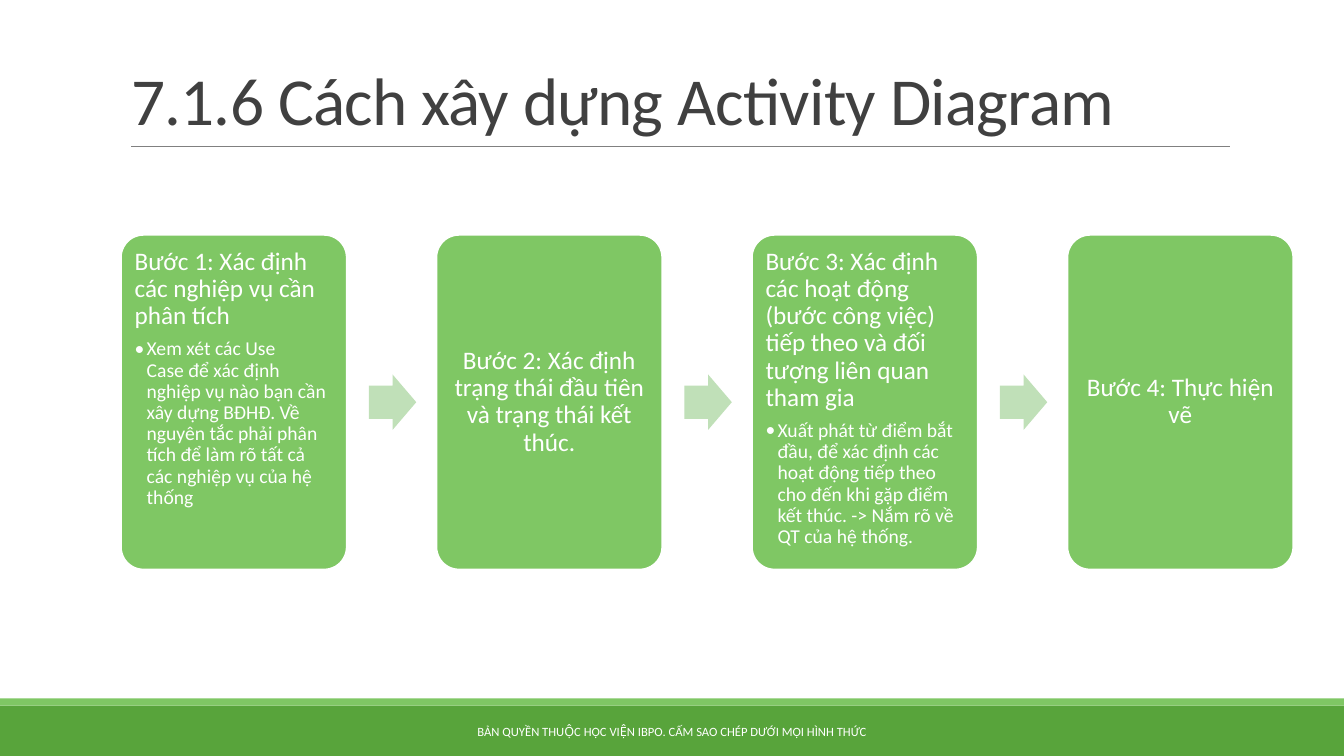
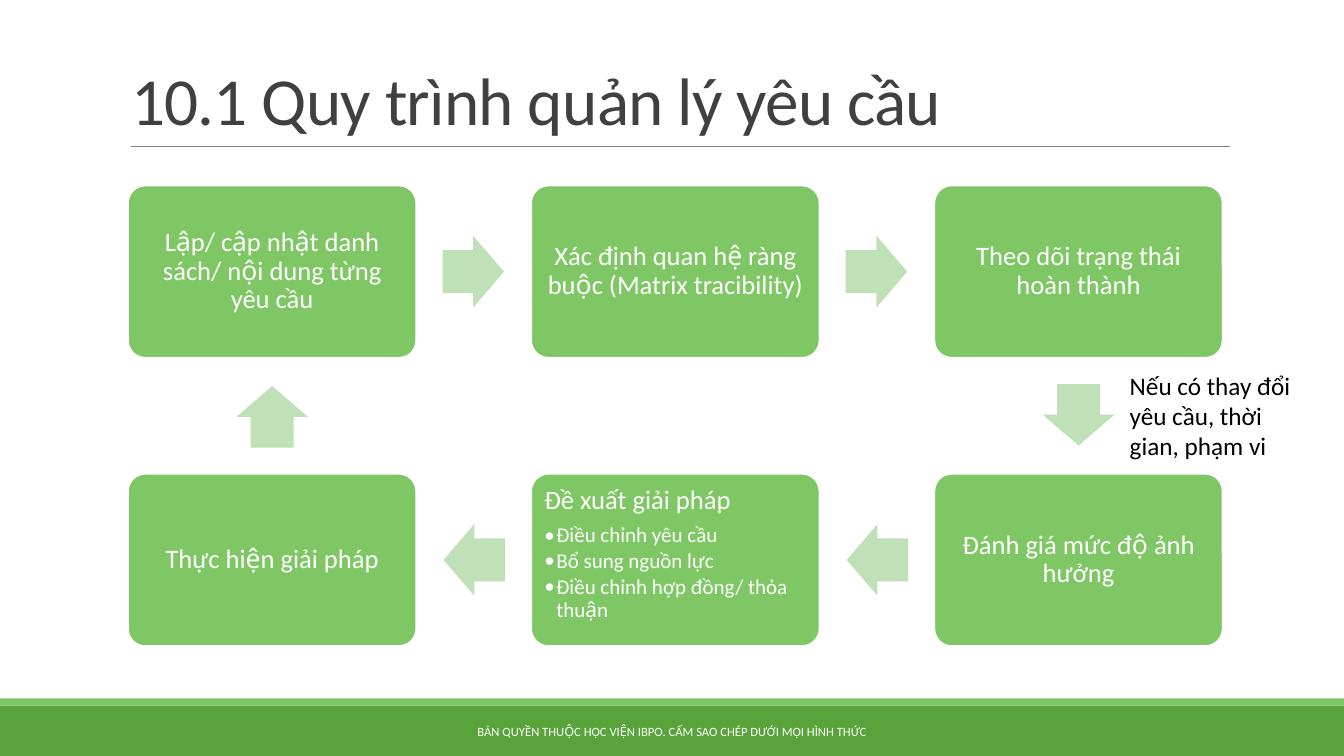
"""Build two process slides that share a title style, a rule and a footer band."""
import math
from lxml import etree
from pptx import Presentation
from pptx import util as u
from pptx.dml.color import RGBColor
from pptx.enum import shapes as sh, text as tx
from pptx.oxml.ns import qn

PX = 9144
WIDE, HIGH = 1333, 750
FONT = "Calibri"
HUES = {
    "band": "58A43B", "box": "7FC764", "arrow": "C0E0B8", "rule": "808080",
    "title": "404040", "white": "FFFFFF", "note": "000000",
}
NB = chr(160)
BASE = "aâăeêioôơuưy"
TONES = {
    0x300: "àầằèềìòồờùừỳ", 0x301: "áấắéếíóốớúứý", 0x303: "ãẫẵẽễĩõỗỡũữỹ",
    0x309: "ảẩẳẻểỉỏổởủửỷ", 0x323: "ạậặẹệịọộợụựỵ",
}
FOOT = "BẢN QUYỀN THUỘC HỌC VIỆN IBPO. CẤM SAO CHÉP DƯỚI MỌI HÌNH THỨC"
STEPS = [
    [f"Bước 1:{NB}Xác định các nghiệp vụ cần phân tích",
     f"Xem xét các Use Case{NB}để xác định nghiệp vụ nào bạn cần xây dựng BĐHĐ. "
     "Về nguyên tắc phải phân tích để làm rõ tất cả các nghiệp vụ của hệ thống"],
    ["Bước 2: Xác định trạng thái đầu tiên và trạng thái kết thúc."],
    [f"Bước 3:{NB}Xác định các hoạt động (bước công việc) tiếp theo và đối tượng "
     "liên quan tham gia",
     "Xuất phát từ điểm bắt đầu, để xác định các hoạt động tiếp theo cho đến "
     "khi gặp điểm kết thúc. -> Nắm rõ về QT của hệ thống."],
    ["Bước 4: Thực hiện vẽ"],
]
CYCLE = [
    ["Lập/ cập nhật danh sách/ nội dung từng yêu cầu"],
    ["Xác định quan hệ ràng buộc (Matrix tracibility)"],
    ["Theo dõi trạng thái hoàn thành"],
    ["Đánh giá mức độ ảnh hưởng"],
    ["Đề xuất giải pháp", "Điều chỉnh yêu cầu", "Bổ sung nguồn lực",
     "Điều chỉnh hợp đồng/ thỏa thuận"],
    ["Thực hiện giải pháp"],
]
NOTE = "Nếu có thay đổi yêu cầu, thời gian, phạm vi"


def split(words):
    """Write each toned vowel as its base letter and a combining tone mark."""
    table = {}
    for mark, row in TONES.items():
        for low, base in zip(row, BASE):
            table[low] = base + chr(mark)
            table[low.upper()] = base.upper() + chr(mark)
    return "".join(table.get(c, c) for c in words)


def px(*nums):
    """Turn px lengths into EMU."""
    return [u.Emu(round(n * PX)) for n in nums]


def hue(name):
    """Look up a colour."""
    return RGBColor.from_string(HUES[name])


def write(frame, words, size=18, color="white", mid=False, anchor="TOP",
          lead=None, after=0, track=0, dot=False, inset=None):
    """Add one formatted paragraph to a text frame."""
    frame.word_wrap = True
    frame.auto_size = tx.MSO_AUTO_SIZE.NONE
    frame.vertical_anchor = tx.MSO_ANCHOR[anchor]
    if inset is not None:
        edge, = px(inset)
        frame.margin_left = frame.margin_right = edge
        frame.margin_top = frame.margin_bottom = edge
    para = frame.add_paragraph() if frame.text else frame.paragraphs[0]
    if dot:
        prop = para._p.get_or_add_pPr()
        prop.set("marL", str(12 * PX))
        prop.set("indent", str(-12 * PX))
        etree.SubElement(prop, qn("a:buFont")).set("typeface", FONT)
        etree.SubElement(prop, qn("a:buChar")).set("char", "•")
    para.alignment = tx.PP_ALIGN.CENTER if mid else tx.PP_ALIGN.LEFT
    para.space_after = u.Pt(after)
    if lead:
        para.line_spacing = lead
    run = para.add_run()
    run.text = words
    run.font.name, run.font.size = FONT, u.Pt(size)
    run.font.color.rgb = hue(color)
    if track:
        run._r.get_or_add_rPr().set("spc", str(track))


def shape(slide, kind, box, fill, edge=None):
    """Add a flat filled shape."""
    item = slide.shapes.add_shape(sh.MSO_SHAPE[kind], *px(*box))
    item.shadow.inherit = False
    item.fill.solid()
    item.fill.fore_color.rgb = hue(fill)
    if edge:
        item.line.color.rgb = hue(edge)
        item.line.width = u.Pt(1.25)
    else:
        item.line.fill.background()
    return item


def label(slide, box, words, **form):
    """Add a text box."""
    write(slide.shapes.add_textbox(*px(*box)).text_frame, words, **form)


def base(deck, title):
    """Start a slide with its bands, rule, title and footer."""
    slide = deck.slides.add_slide(deck.slide_layouts[5])
    shape(slide, "RECTANGLE", (0, 700, WIDE + 1, 50), "band")
    shape(slide, "RECTANGLE", (0, 693, WIDE + 1, 7), "box")
    rule = slide.shapes.add_connector(
        sh.MSO_CONNECTOR.STRAIGHT, *px(130, 145, 1220, 145))
    rule.line.color.rgb = hue("rule")
    rule.line.width = u.Pt(0.5)
    etree.SubElement(rule._element.spPr, qn("a:effectLst"))
    head = slide.shapes.title
    head.left, head.top, head.width, head.height = px(120, 31, 1100, 112)
    write(head.text_frame, title, size=48, color="title", anchor="BOTTOM",
          lead=0.85, track=-50)
    label(slide, (403, 706, 527, 40), split(FOOT), size=9, mid=True,
          anchor="MIDDLE")
    return slide


def card(slide, box, lines, size, inset):
    """Add a step: centred alone, or at top left with bullets below."""
    item = shape(slide, "ROUNDED_RECTANGLE", box, "box", "white")
    item.adjustments[0] = 0.1
    alone = len(lines) == 1
    for i, line in enumerate(lines):
        pts = size - 4 if i else size
        write(item.text_frame, line, size=pts, mid=alone, dot=i > 0,
              anchor="MIDDLE" if alone else "TOP", lead=0.9, inset=inset,
              after=round(pts * (0.15 if i else 0.35), 1))


def arrow(slide, start, end, size, gap):
    """Add a block arrow that leaves one box and points to the next."""
    (x, y, w, h), (long, wide) = start, size
    turn = math.atan2(end[1] - y, end[0] - x)
    dx, dy = round(math.cos(turn)), round(math.sin(turn))
    mid = x + w / 2 + dx * (w / 2 + gap + long / 2)
    row = y + h / 2 + dy * (h / 2 + gap + long / 2)
    item = shape(slide, "RIGHT_ARROW",
                 (mid - long / 2, row - wide / 2, long, wide), "arrow")
    item.adjustments[0], item.adjustments[1] = 0.6, 0.5
    item.rotation = math.degrees(turn) % 360


def flow(slide, boxes, steps, links, size, inset, tip, gap):
    """Add the steps and the arrows that link them."""
    for box, lines in zip(boxes, steps):
        card(slide, box, lines, size, inset)
    for start, end in links:
        arrow(slide, start, end, tip, gap)


def chain(deck):
    """Build the slide with four steps in a row."""
    slide = base(deck, "7.1.6 Cách xây dựng Activity Diagram")
    boxes = [(120 + 313 * i, 233, 224, 332) for i in range(4)]
    flow(slide, boxes, STEPS, zip(boxes, boxes[1:]), 18, 7, (47, 55), 22)


def cycle(deck):
    """Build the slide with six steps in a ring."""
    slide = base(deck, split("10.1 Quy trình quản lý yêu cầu"))
    cells = [(0, 0), (1, 0), (2, 0), (2, 1), (1, 1), (0, 1)]
    boxes = [(127 + 400 * c, 184 + 286 * r, 286, 171) for c, r in cells]
    links = zip(boxes, boxes[1:] + boxes[:1])
    steps = [[split(line) for line in lines] for lines in CYCLE]
    flow(slide, boxes, steps, links, 19, 8, (61, 71), 26)
    label(slide, (1111, 362, 204, 101), split(NOTE), color="note")


def main():
    """Build and save the deck."""
    deck = Presentation()
    deck.slide_width, deck.slide_height = u.Emu(12192000), px(HIGH)[0]
    chain(deck)
    cycle(deck)
    deck.save("out.pptx")


if __name__ == "__main__":
    main()
